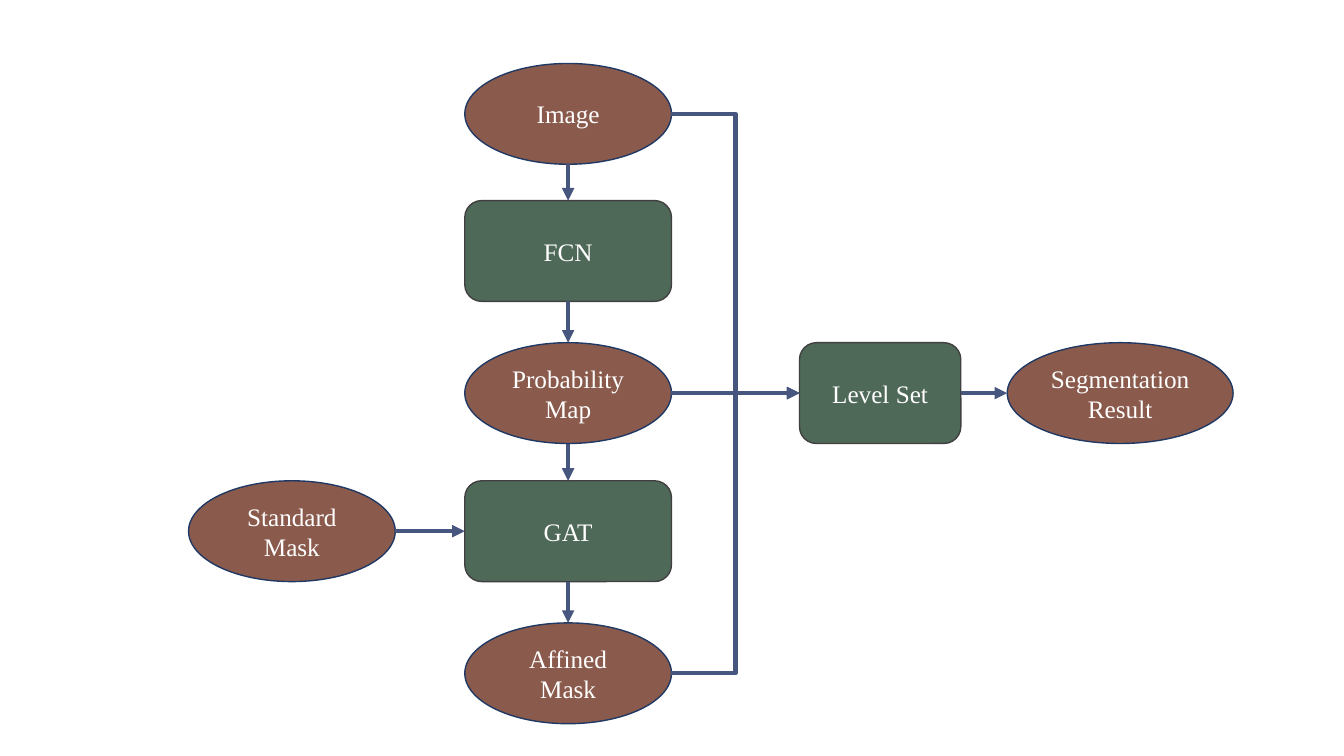
from dataclasses import dataclass

from pptx import Presentation
from pptx.dml.color import RGBColor
from pptx.enum.shapes import MSO_CONNECTOR, MSO_SHAPE
from pptx.enum.text import MSO_ANCHOR, PP_ALIGN
from pptx.oxml.ns import qn
from pptx.util import Inches, Pt
from lxml import etree

ELLIPSE, ROUNDED = MSO_SHAPE.OVAL, MSO_SHAPE.ROUNDED_RECTANGLE
STRAIGHT, ELBOW = MSO_CONNECTOR.STRAIGHT, MSO_CONNECTOR.ELBOW
CENTER, MIDDLE = PP_ALIGN.CENTER, MSO_ANCHOR.MIDDLE
TOP, LEFT, BOTTOM, RIGHT = range(4)


@dataclass(frozen=True)
class Theme:
    data_fill: str = "8A5B4C"
    data_line: str = "203864"
    step_fill: str = "4F6958"
    step_line: str = "404040"
    arrow: str = "47567F"
    text: str = "FFFFFF"
    font: str = "Times New Roman"
    text_size: float = 18
    outline: float = 1
    arrow_width: float = 3


THEME = Theme()
SLIDE_SIZE = (13.33, 7.5)
COLUMNS = ((1.87, 2.05), (4.61, 2.05), (7.93, 1.6), (9.99, 2.24))
ROWS = (0.63, 1.99, 3.4, 4.77, 6.18)
NODE_HEIGHT = 1

NODES = (
    ("Image", ELLIPSE, 1, 0),
    ("FCN", ROUNDED, 1, 1),
    ("Probability Map", ELLIPSE, 1, 2),
    ("GAT", ROUNDED, 1, 3),
    ("Affined Mask", ELLIPSE, 1, 4),
    ("Standard Mask", ELLIPSE, 0, 3),
    ("Level Set", ROUNDED, 2, 2),
    ("Segmentation Result", ELLIPSE, 3, 2),
)
ARROWS = (
    ("Image", BOTTOM, "FCN", TOP, STRAIGHT),
    ("FCN", BOTTOM, "Probability Map", TOP, STRAIGHT),
    ("Probability Map", BOTTOM, "GAT", TOP, STRAIGHT),
    ("GAT", BOTTOM, "Affined Mask", TOP, STRAIGHT),
    ("Standard Mask", RIGHT, "GAT", LEFT, STRAIGHT),
    ("Image", RIGHT, "Level Set", LEFT, ELBOW),
    ("Probability Map", RIGHT, "Level Set", LEFT, ELBOW),
    ("Affined Mask", RIGHT, "Level Set", LEFT, ELBOW),
    ("Level Set", RIGHT, "Segmentation Result", LEFT, STRAIGHT),
)


def color(value):
    return RGBColor.from_string(value)


def add_node(slide, label, kind, column, row):
    left, width = COLUMNS[column]
    shape = slide.shapes.add_shape(
        kind, Inches(left), Inches(ROWS[row]), Inches(width), Inches(NODE_HEIGHT))
    is_data = kind == ELLIPSE
    shape.shadow.inherit = False
    shape.fill.solid()
    shape.fill.fore_color.rgb = color(THEME.data_fill if is_data else THEME.step_fill)
    shape.line.color.rgb = color(THEME.data_line if is_data else THEME.step_line)
    shape.line.width = Pt(THEME.outline)
    frame = shape.text_frame
    frame.text = label
    frame.word_wrap = True
    frame.vertical_anchor = MIDDLE
    paragraph = frame.paragraphs[0]
    paragraph.alignment = CENTER
    font = paragraph.runs[0].font
    font.name = THEME.font
    font.size = Pt(THEME.text_size)
    font.color.rgb = color(THEME.text)
    return shape


def side_middle(shape, side):
    across, down = {TOP: (1, 0), LEFT: (0, 1), BOTTOM: (1, 2), RIGHT: (2, 1)}[side]
    return shape.left + shape.width * across // 2, shape.top + shape.height * down // 2


def add_arrow(slide, source, source_side, target, target_side, kind):
    connector = slide.shapes.add_connector(
        kind, *side_middle(source, source_side), *side_middle(target, target_side))
    if kind == STRAIGHT:
        if source.auto_shape_type == ROUNDED:
            connector.begin_connect(source, source_side)
        if target.auto_shape_type == ROUNDED:
            connector.end_connect(target, target_side)
    connector.line.color.rgb = color(THEME.arrow)
    connector.line.width = Pt(THEME.arrow_width)
    etree.SubElement(connector.line._get_or_add_ln(), qn("a:tailEnd"), type="triangle")
    etree.SubElement(connector._element.spPr, qn("a:effectLst"))


def main():
    presentation = Presentation()
    presentation.slide_width, presentation.slide_height = map(Inches, SLIDE_SIZE)
    slide = presentation.slides.add_slide(presentation.slide_layouts[6])
    nodes = {node[0]: add_node(slide, *node) for node in NODES}
    for source, source_side, target, target_side, kind in ARROWS:
        add_arrow(slide, nodes[source], source_side, nodes[target], target_side, kind)
    presentation.save("out.pptx")


if __name__ == "__main__":
    main()
